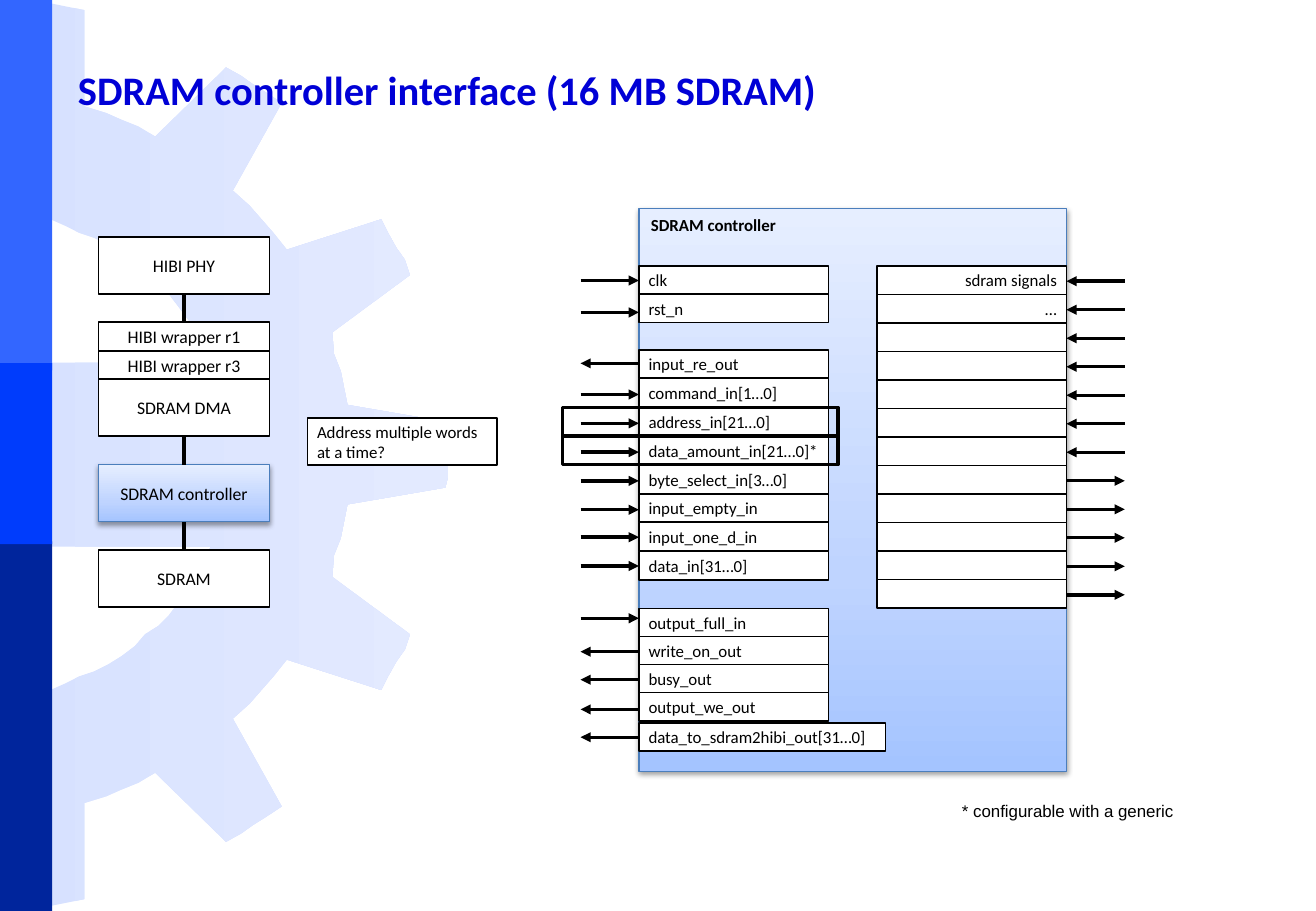
from lxml import etree
from pptx import Presentation
from pptx.dml.color import RGBColor
from pptx.enum.shapes import MSO_CONNECTOR, MSO_SHAPE
from pptx.enum.text import MSO_ANCHOR, MSO_AUTO_SIZE, PP_ALIGN
from pptx.oxml.ns import qn
from pptx.util import Pt

RECT = MSO_SHAPE.RECTANGLE
STRAIGHT = MSO_CONNECTOR.STRAIGHT
LEFT, MID, RIGHT = PP_ALIGN.LEFT, PP_ALIGN.CENTER, PP_ALIGN.RIGHT
TOP, CENTER = MSO_ANCHOR.TOP, MSO_ANCHOR.MIDDLE
NO_FIT = MSO_AUTO_SIZE.NONE

COLORS = {
    "ink": "000000", "paper": "FFFFFF", "title": "0000D6", "edge": "4B7EBC",
    "sky": "3366FF", "blue": "003CFC", "navy": "00259C",
    "gear_in": "D7E1FF", "gear_out": "E3EAFF",
    "deep": "A4C4FF", "soft": "BFD4FF", "pale": "E6EEFF",
}
PANEL = [(0, "deep"), (35, "soft"), (100, "pale")]
ROW = 16.9
ARROW = 34.6

GEAR = [
    (0, 215), (125, 215), (120, 206), (115, 199), (112, 190), (106, 182),
    (100, 174), (94, 168), (86, 163), (80, 156), (72, 150), (64, 145),
    (56, 141), (47, 138), (39, 134), (30, 130), (20, 130), (10, 127),
    (10, 0), (21, 1), (30, 2), (40, 4), (50, 6), (50, 63), (63, 67),
    (72, 71), (82, 75), (92, 81), (134, 40), (143, 45), (150, 50),
    (158, 55), (167, 61), (138, 113), (148, 122), (155, 130), (162, 138),
    (170, 148), (226, 130), (230, 138), (235, 147), (240, 154), (243, 163),
    (197, 197), (198, 210), (202, 220), (204, 230), (206, 240), (264, 250),
    (266, 258), (266, 269),
]
STACK = [
    ("HIBI PHY", 0, 2), ("HIBI wrapper r1", 3, 1), ("HIBI wrapper r3", 4, 1),
    ("SDRAM DMA", 5, 2), ("SDRAM controller", 8, 2), ("SDRAM", 11, 2),
]
LINKS = [2, 7, 10]
PORTS = [
    (33.9, 16.7, [("clk", 8.6), ("rst_n", 10.8)]),
    (83.6, 17.07, [
        ("input_re_out", 8), ("command_in[1…0]", 9.4), ("address_in[21…0]", 9.4),
        ("data_amount_in[21…0]*", 9.4), ("byte_select_in[3…0]", 9.4),
        ("input_empty_in", 9.4), ("input_one_d_in", 8.6), ("data_in[31…0]", 8.6)]),
    (236.9, 16.6, [
        ("output_full_in", 5.8), ("write_on_out", 9), ("busy_out", 9),
        ("output_we_out", 10)]),
    (304.6, ROW, [("data_to_sdram2hibi_out[31…0]", 8.6)]),
]
BOLD = ("address_in", "data_amount_in")
SIGNALS = ["sdram signals", "…"] + [""] * 10
INPUTS = 7


def rgb(name):
    return RGBColor.from_string(COLORS[name])


def node(host, tag, **attrs):
    return etree.SubElement(host, qn("a:" + tag), {k: str(v) for k, v in attrs.items()})


def blend(shape, stops, angle):
    shape.fill.background()
    props = shape.element.spPr
    grad = etree.Element(qn("a:gradFill"), rotWithShape="1")
    steps = node(grad, "gsLst")
    for spot, name in stops:
        node(node(steps, "gs", pos=spot * 1000), "srgbClr", val=COLORS[name])
    node(grad, "lin", ang=angle * 60000, scaled=0)
    props.replace(props.find(qn("a:noFill")), grad)


def shade(shape):
    glow = node(shape.element.spPr.find(qn("a:effectLst")), "outerShdw",
                blurRad=Pt(3.1), dist=Pt(1.6), dir=5400000, rotWithShape=0)
    node(node(glow, "srgbClr", val=COLORS["ink"]), "alpha", val=38000)


def write(shape, text, size=10, align=LEFT, anchor=CENTER, inset=(5.7, 0),
          font="Calibri", color="ink", bold=False):
    frame = shape.text_frame
    frame.word_wrap = True
    frame.auto_size = NO_FIT
    frame.vertical_anchor = anchor
    frame.margin_left = frame.margin_right = Pt(inset[0])
    frame.margin_top = frame.margin_bottom = Pt(inset[1])
    para = frame.paragraphs[0]
    para.alignment = align
    run = para.add_run()
    run.text = text
    run.font.name = font
    run.font.size = Pt(size)
    run.font.bold = bold
    run.font.color.rgb = rgb(color)


def block(slide, box, fill="paper", line="ink", width=1):
    shape = slide.shapes.add_shape(RECT, *map(Pt, box))
    shape.shadow.inherit = False
    if fill:
        shape.fill.solid()
        shape.fill.fore_color.rgb = rgb(fill)
    else:
        shape.fill.background()
    if line:
        shape.line.color.rgb = rgb(line)
        shape.line.width = Pt(width)
    else:
        shape.line.fill.background()
    return shape


def panel(slide, box):
    shape = block(slide, box, line="edge", width=0.75)
    shape.fill.background()
    blend(shape, PANEL, 270)
    shade(shape)
    return shape


def link(slide, start, end, head=False):
    wire = slide.shapes.add_connector(STRAIGHT, *map(Pt, start + end))
    wire.line.color.rgb = rgb("ink")
    wire.line.width = Pt(2)
    props = wire.element.spPr
    if head:
        node(props.find(qn("a:ln")), "tailEnd", type="triangle")
    node(props, "effectLst")


def arrow(slide, edge, far, y, inward):
    ends = [(edge, y), (far, y)]
    if inward:
        ends.reverse()
    link(slide, *ends, head=True)


def backdrop(slide, box):
    x, y, wide, high = box
    points = GEAR + [(px, high - 1 - py) for px, py in reversed(GEAR)]
    points = [(x + px, y + py) for px, py in points]
    draft = slide.shapes.build_freeform(*points[0], scale=Pt(1))
    draft.add_line_segments(points[1:])
    gear = draft.convert_to_shape()
    gear.shadow.inherit = False
    gear.line.fill.background()
    blend(gear, [(0, "gear_in"), (100, "gear_out")], 0)
    for name, top, tall in [("sky", 0, 219.6), ("navy", 321, 219), ("blue", 215.3, 107.3)]:
        block(slide, (x, y + top, wide, tall), name, None)


def heading(slide, box):
    title = slide.shapes.title
    title.left, title.top, title.width, title.height = map(Pt, box)
    write(title, "SDRAM controller interface (16 MB SDRAM)", 24,
          inset=(7.2, 3.6), color="title", bold=True)
    title.element.getparent().append(title.element)


def stack(slide, box):
    x, y, wide, high = box
    unit = high / 13
    for name, top, tall in STACK:
        draw = panel if name == "SDRAM controller" else block
        part = draw(slide, (x, y + top * unit, wide, tall * unit))
        write(part, name, 10.5, MID)
    mid = x + wide / 2
    for top in LINKS:
        link(slide, (mid, y + top * unit), (mid, y + (top + 1) * unit))


def control(slide, box):
    x, y, wide, high = box
    write(panel(slide, box), "SDRAM controller", anchor=TOP, inset=(7.2, 3.6), bold=True)
    cell = 112.4
    marks = []
    for top, pitch, rows in PORTS:
        for i, (name, drop) in enumerate(rows):
            at = y + top + i * pitch
            span = 146.2 if name.startswith("data_to") else cell
            write(block(slide, (x, at, span, ROW)), name)
            arrow(slide, x, x - ARROW, at + drop, "_out" not in name)
            if name.startswith(BOLD):
                marks.append(at)
    side = x + wide
    for i, name in enumerate(SIGNALS):
        at = y + 33.9 + i * ROW
        part = block(slide, (side - cell, at, cell, ROW))
        if name:
            write(part, name, align=RIGHT)
        arrow(slide, side, side + ARROW, at + 9, i < INPUTS)
    for at in marks:
        block(slide, (x - 45.4, at, 163.4, ROW), None, width=2)


def notes(slide, ask, foot):
    write(block(slide, ask), "Address multiple words at a time?")
    label = slide.shapes.add_textbox(*map(Pt, foot))
    write(label, "* configurable with a generic", font="Arial")


deck = Presentation()
deck.slide_width, deck.slide_height = Pt(780), Pt(540)
page = deck.slides.add_slide(deck.slide_layouts[5])
backdrop(page, (0, 0, 31, 540))
heading(page, (39, 21.6, 702, 62.6))
stack(page, (58.3, 140.4, 101.5, 219.6))
control(page, (378.7, 123.8, 253.4, 333.4))
notes(page, (182.2, 247.7, 112.4, 28), (564.5, 472.3, 140.4, 16.6))
deck.save("out.pptx")
